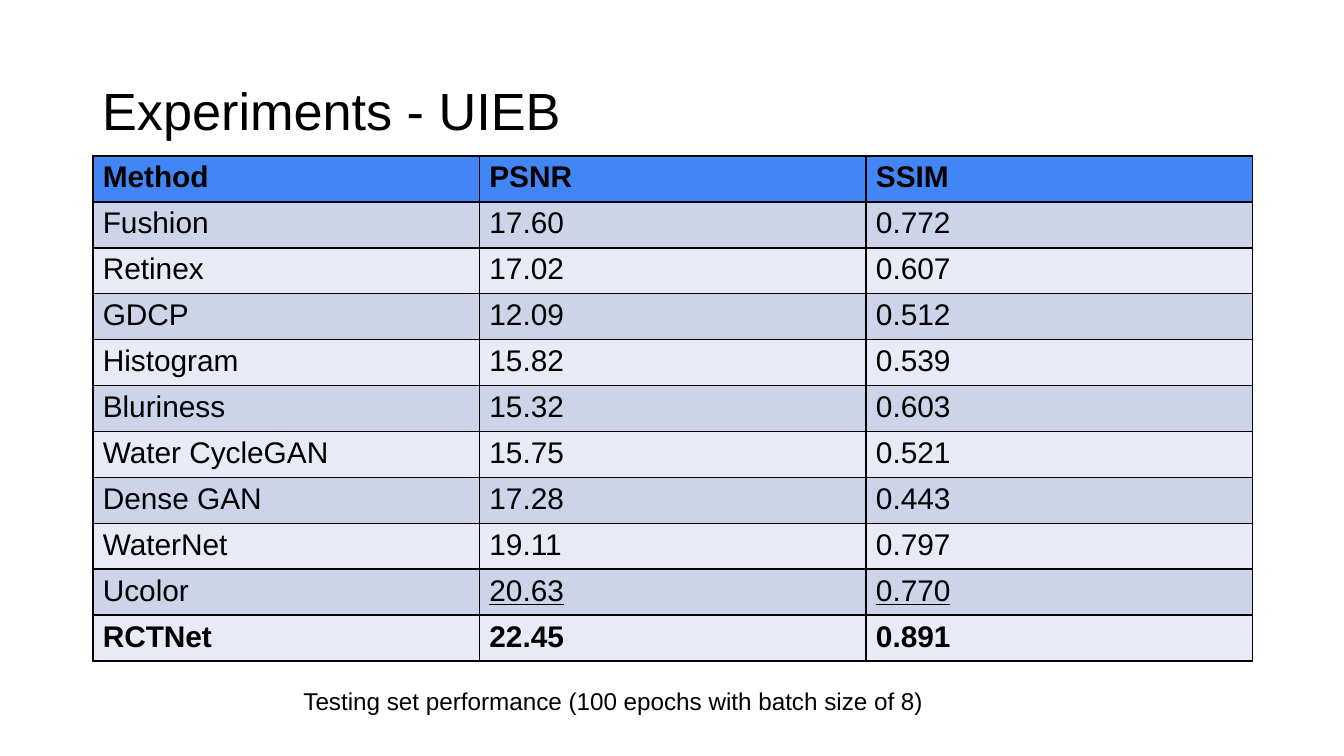
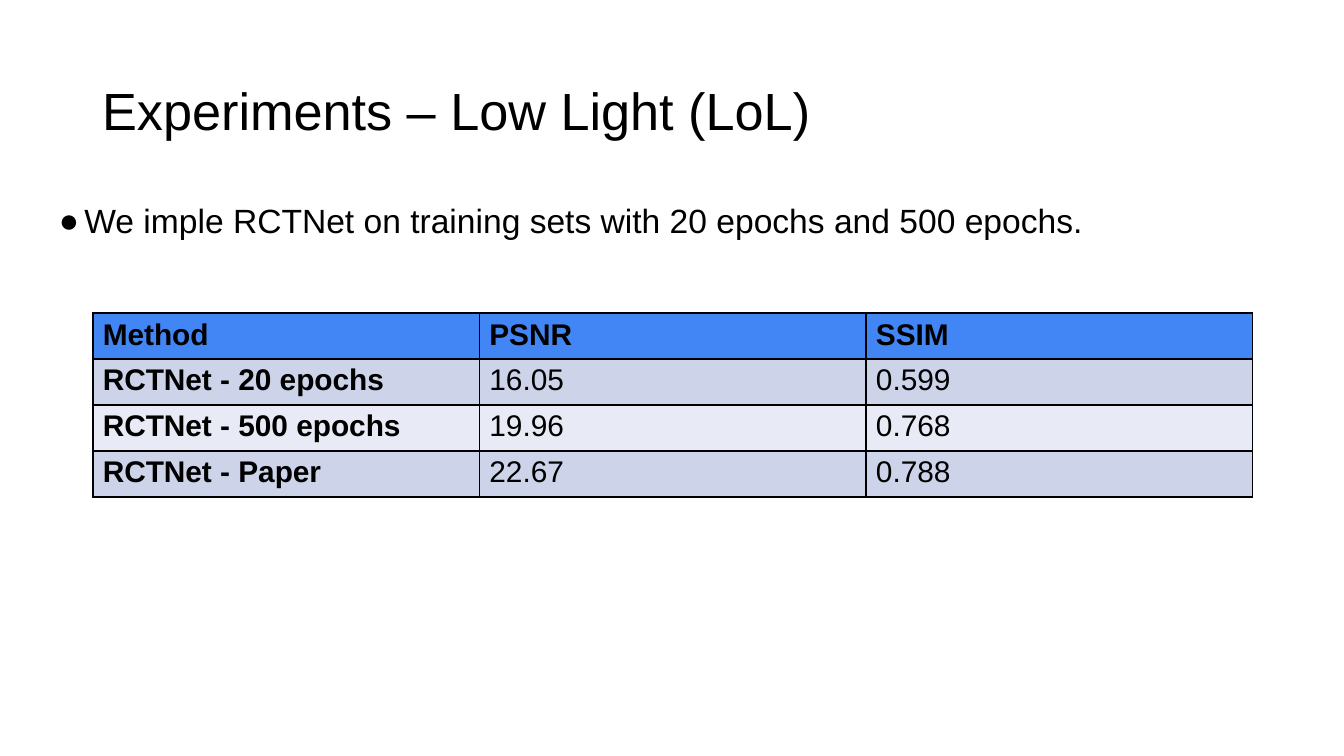
from dataclasses import dataclass

from lxml import etree
from pptx import Presentation
from pptx.dml.color import RGBColor
from pptx.enum.text import MSO_ANCHOR
from pptx.oxml.ns import qn
from pptx.util import Inches, Pt


@dataclass(frozen=True)
class Theme:
    font: str = "Arial"
    text: str = "000000"
    background: str = "FFFFFF"
    header: str = "4285F4"
    bands: tuple = ("CDD4EA", "E8EBF5")
    title_size: int = 28
    body_size: int = 18
    table_size: int = 16
    caption_size: int = 13
    line_spacing: float = 0.9


THEME = Theme()
SLIDE_WIDTH = 10
SLIDE_HEIGHT = SLIDE_WIDTH * 9 / 16
TABLE_LEFT, TABLE_WIDTH = 0.69, 8.63
ROW_HEIGHT = 0.3
CELL_SIDE = ROW_HEIGHT / 4
CELL_TOP = CELL_SIDE / 2
HEADER = ("Method", "PSNR", "SSIM")

UIEB_ROWS = [
    ("Fushion", "17.60", "0.772"),
    ("Retinex", "17.02", "0.607"),
    ("GDCP", "12.09", "0.512"),
    ("Histogram", "15.82", "0.539"),
    ("Bluriness", "15.32", "0.603"),
    ("Water CycleGAN", "15.75", "0.521"),
    ("Dense GAN", "17.28", "0.443"),
    ("WaterNet", "19.11", "0.797"),
    ("Ucolor", "20.63", "0.770"),
    ("RCTNet", "22.45", "0.891"),
]
LOL_ROWS = [
    ("RCTNet - 20 epochs", "16.05", "0.599"),
    ("RCTNet - 500 epochs", "19.96", "0.768"),
    ("RCTNet - Paper", "22.67", "0.788"),
]


def style_runs(p, size, bold=False, underline=False):
    for r in p.runs:
        r.font.name = THEME.font
        r.font.size = Pt(size)
        r.font.bold = bold
        r.font.underline = underline
        r.font.color.rgb = RGBColor.from_string(THEME.text)


def add_bullet(p, indent):
    pPr = p._p.get_or_add_pPr()
    pPr.set("marL", str(Inches(indent)))
    pPr.set("indent", str(-Inches(indent)))
    color = etree.SubElement(pPr, qn("a:buClr"))
    etree.SubElement(color, qn("a:srgbClr"), val=THEME.text)
    etree.SubElement(pPr, qn("a:buFont"), typeface=THEME.font)
    etree.SubElement(pPr, qn("a:buChar"), char="●")


def add_text(slide, text, box, size, insets=(0.1, 0.1),
             anchor=MSO_ANCHOR.TOP, bullet_indent=None):
    tf = slide.shapes.add_textbox(*map(Inches, box)).text_frame
    tf.word_wrap = True
    tf.vertical_anchor = anchor
    tf.margin_left = tf.margin_right = Inches(insets[0])
    tf.margin_top = tf.margin_bottom = Inches(insets[1])
    tf.text = text
    p = tf.paragraphs[0]
    p.line_spacing = THEME.line_spacing
    if bullet_indent:
        add_bullet(p, bullet_indent)
    style_runs(p, size)


def add_slide(prs, title):
    slide = prs.slides.add_slide(prs.slide_layouts[6])
    fill = slide.background.fill
    fill.solid()
    fill.fore_color.rgb = RGBColor.from_string(THEME.background)
    add_text(slide, title, (0.69, 0.3, 8.62, 1.09), THEME.title_size,
             insets=(0.07, 0.04), anchor=MSO_ANCHOR.MIDDLE)
    return slide


def add_borders(cell):
    tcPr = cell._tc.get_or_add_tcPr()
    for i, side in enumerate(("lnL", "lnR", "lnT", "lnB")):
        ln = etree.Element(qn(f"a:{side}"), w=str(Pt(1)))
        fill = etree.SubElement(ln, qn("a:solidFill"))
        etree.SubElement(fill, qn("a:srgbClr"), val=THEME.text)
        tcPr.insert(i, ln)


def fill_cell(cell, text, color, bold, underline):
    cell.fill.solid()
    cell.fill.fore_color.rgb = RGBColor.from_string(color)
    cell.margin_left = cell.margin_right = Inches(CELL_SIDE)
    cell.margin_top = cell.margin_bottom = Inches(CELL_TOP)
    add_borders(cell)
    cell.text_frame.text = text
    style_runs(cell.text_frame.paragraphs[0], THEME.table_size, bold, underline)


def add_results(slide, top, results, bold_cells, underlined_cells=()):
    rows = [HEADER, *results]
    frame = slide.shapes.add_table(
        len(rows), len(HEADER), Inches(TABLE_LEFT), Inches(top),
        Inches(TABLE_WIDTH), Inches(ROW_HEIGHT * len(rows)))
    table = frame.table
    for i, row in enumerate(rows):
        color = THEME.bands[(i - 1) % 2] if i else THEME.header
        for j, text in enumerate(row):
            bold = i == 0 or text in bold_cells
            fill_cell(table.cell(i, j), text, color, bold,
                      text in underlined_cells)


def main():
    prs = Presentation()
    prs.slide_width = Inches(SLIDE_WIDTH)
    prs.slide_height = Inches(SLIDE_HEIGHT)

    uieb = add_slide(prs, "Experiments - UIEB")
    add_results(uieb, 1.16, UIEB_ROWS, bold_cells=UIEB_ROWS[-1],
                underlined_cells=("20.63", "0.770"))
    add_text(uieb, "Testing set performance (100 epochs with batch size of 8)",
             (2.16, 5.03, 5.44, 0.4), THEME.caption_size)

    lol = add_slide(prs, "Experiments – Low Light (LoL)")
    add_results(lol, 2.33, LOL_ROWS, bold_cells=[row[0] for row in LOL_ROWS])
    add_text(lol,
             "We imple RCTNet on training sets with 20 epochs and 500 epochs.",
             (0.34, 1.42, 9.63, 0.52), THEME.body_size, bullet_indent=0.19)

    prs.save("out.pptx")


if __name__ == "__main__":
    main()
